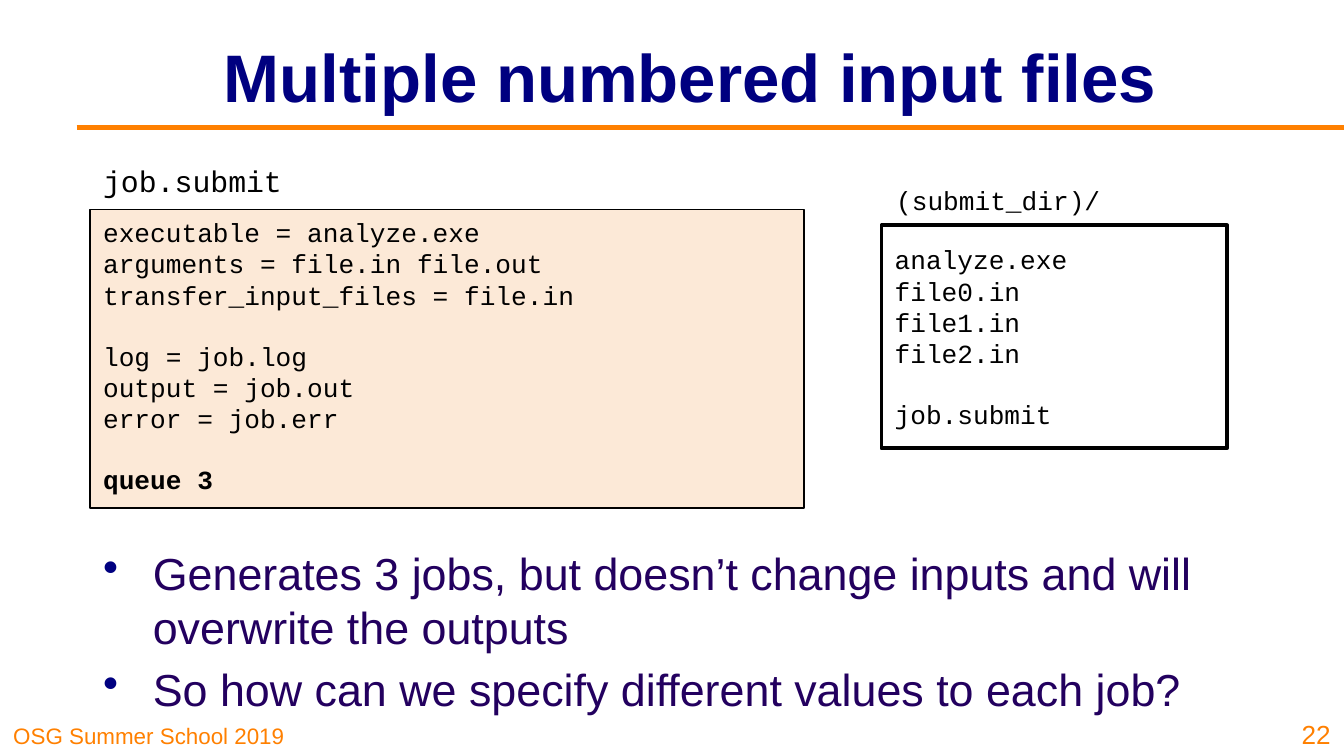
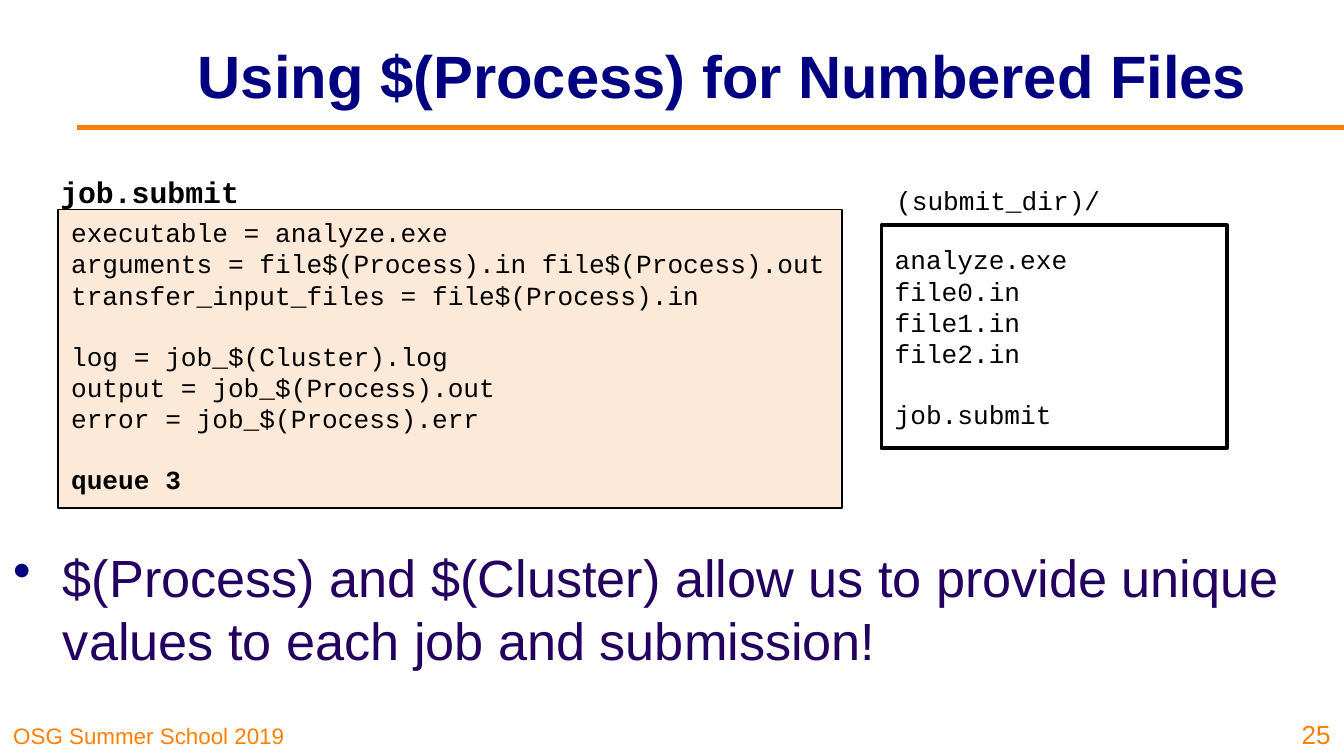
from lxml import etree
from pptx import Presentation
from pptx.dml.color import RGBColor
from pptx.enum import shapes, text
from pptx.oxml import ns
from pptx.util import Pt

# Content: code and file lists are groups of lines, set apart by one line
FOOTER = "OSG Summer School 2019"
FOLDER = "(submit_dir)/"
FILES = [["analyze.exe", "file0.in", "file1.in", "file2.in"], ["job.submit"]]
SLIDES = [
    dict(
        title="Multiple numbered input files", title_size=36, title_width=547,
        label_at=(48.2, 83.5, 111.6, 25), label_bold=False,
        code=[
            ["executable = analyze.exe",
             "arguments = file.in file.out",
             "transfer_input_files = file.in"],
            ["log = job.log", "output = job.out", "error = job.err"],
            ["queue 3"],
        ],
        code_left=48.2, code_width=382.5,
        bullets=["Generates 3 jobs, but doesn’t change inputs and will overwrite the outputs",
                 "So how can we specify different values to each job?"],
        bullet_left=48.2, bullet_size=24, number="22",
    ),
    dict(
        title="Using $(Process) for Numbered Files ", title_size=32, title_width=590.5,
        label_at=(25.2, 89.3, 111.6, 26.6), label_bold=True,
        code=[
            ["executable = analyze.exe",
             "arguments = file$(Process).in file$(Process).out",
             "transfer_input_files = file$(Process).in"],
            ["log = job_$(Cluster).log",
             "output = job_$(Process).out",
             "error = job_$(Process).err"],
            ["queue 3"],
        ],
        code_left=31, code_width=420,
        bullets=["$(Process) and $(Cluster) allow us to provide unique "
                 "values to each job and submission!"],
        bullet_left=0, bullet_size=28, number="25",
    ),
]

# Shared style
WIDTH, HEIGHT = 720, 405
ORANGE, NAVY, PURPLE = "FF8000", "000080", "23005F"
BLACK, WHITE, PEACH = "000000", "FFFFFF", "FCE9D7"
SANS, MONO = "Arial", "Courier New"
CODE_SIZE, CODE_GAP = 14, 15.9
INDENT = 26.64
TOP, MIDDLE, BOTTOM = (text.MSO_ANCHOR.TOP, text.MSO_ANCHOR.MIDDLE,
                       text.MSO_ANCHOR.BOTTOM)
LEFT, CENTER, RIGHT = text.PP_ALIGN.LEFT, text.PP_ALIGN.CENTER, text.PP_ALIGN.RIGHT


def color(value):
    return RGBColor.from_string(value)


def add_bullet(para):
    props = para._p.get_or_add_pPr()
    props.set("marL", str(Pt(INDENT)))
    props.set("indent", str(-Pt(INDENT)))
    tint = etree.SubElement(props, ns.qn("a:buClr"))
    etree.SubElement(tint, ns.qn("a:srgbClr"), val=NAVY)
    etree.SubElement(props, ns.qn("a:buChar"), char="•")


def write(box, lines, size=CODE_SIZE, font=MONO, ink=BLACK, bold=False,
          align=LEFT, anchor=TOP, bullet=False, gaps=None, inset_top=3.6):
    """Fill a box with lines; gaps maps a line's index to the space before it."""
    frame = box.text_frame
    frame.word_wrap = True
    frame.vertical_anchor = anchor
    frame.margin_left = frame.margin_right = Pt(7.2)
    frame.margin_top, frame.margin_bottom = Pt(inset_top), Pt(3.6)
    for index, line in enumerate(lines):
        para = frame.add_paragraph() if index else frame.paragraphs[0]
        if bullet:
            add_bullet(para)
        para.alignment = align
        if gaps and index in gaps:
            para.space_before = Pt(gaps[index])
        span = para.add_run()
        span.text = line
        span.font.size, span.font.name = Pt(size), font
        span.font.bold = bold
        span.font.color.rgb = color(ink)
    return frame


def add_text(page, at, lines, **style):
    return write(page.shapes.add_textbox(*map(Pt, at)), lines, **style)


def add_listing(page, at, groups, fill, border, anchor=TOP):
    box = page.shapes.add_shape(shapes.MSO_SHAPE.RECTANGLE, *map(Pt, at))
    box.shadow.inherit = False
    box.fill.solid()
    box.fill.fore_color.rgb = color(fill)
    box.line.color.rgb = color(BLACK)
    box.line.width = Pt(border)
    lines, gaps = [], {}
    for group in groups:
        if lines:
            gaps[len(lines)] = CODE_GAP
        lines += group
    return write(box, lines, gaps=gaps, anchor=anchor)


def add_frame(page, number):
    """Footer, title rule and page number."""
    add_text(page, (0, 382.5, 178.5, 22.5), [FOOTER], size=12, font=SANS,
             ink=ORANGE, anchor=BOTTOM)
    rule = page.shapes.add_connector(shapes.MSO_CONNECTOR.STRAIGHT,
                                     Pt(41), Pt(68.3), Pt(WIDTH), Pt(68.3))
    rule.line.color.rgb = color(ORANGE)
    rule.line.width = Pt(3)
    etree.SubElement(rule._element.spPr, ns.qn("a:effectLst"))
    add_text(page, (687, 378, 33, 27), [number], size=14, font=SANS,
             ink=ORANGE, align=RIGHT, anchor=BOTTOM)


def build_slide(deck, item):
    page = deck.slides.add_slide(deck.slide_layouts[6])
    add_frame(page, item["number"])
    add_text(page, (96.5, 6.5, item["title_width"], 67.5), [item["title"]],
             size=item["title_size"], font=SANS, ink=NAVY, bold=True,
             align=CENTER, anchor=MIDDLE)

    # Submit file, with its queue line in bold
    code = add_listing(page, (item["code_left"], 112.3, item["code_width"], 160),
                       item["code"], PEACH, 0.75)
    code.paragraphs[-1].runs[0].font.bold = True
    add_text(page, item["label_at"], ["job.submit"], size=16, bold=item["label_bold"])

    # Submit directory
    add_listing(page, (472.2, 120.7, 185.2, 119.5), FILES, WHITE, 2, MIDDLE)
    add_text(page, (473, 95.3, 156, 23.8), [FOLDER])

    # Bullets
    bullets, size, left = item["bullets"], item["bullet_size"], item["bullet_left"]
    add_text(page, (left, 285.8, WIDTH - left, 87), bullets, size=size, font=SANS,
             ink=PURPLE, bullet=True, inset_top=6.5,
             gaps={index: size * 0.2 for index in range(1, len(bullets))})


def main():
    deck = Presentation()
    deck.slide_width, deck.slide_height = Pt(WIDTH), Pt(HEIGHT)
    for item in SLIDES:
        build_slide(deck, item)
    deck.save("out.pptx")


if __name__ == "__main__":
    main()
